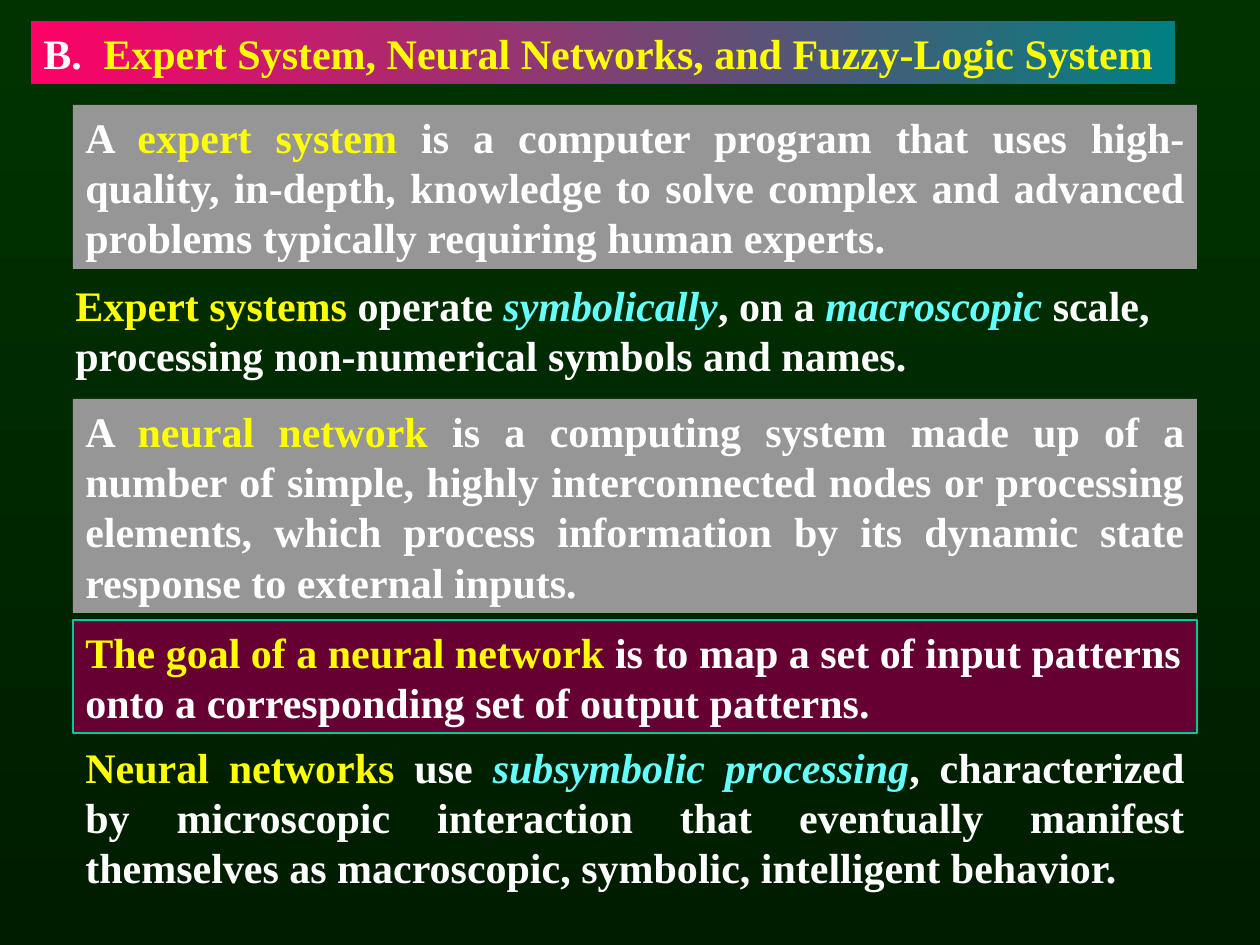
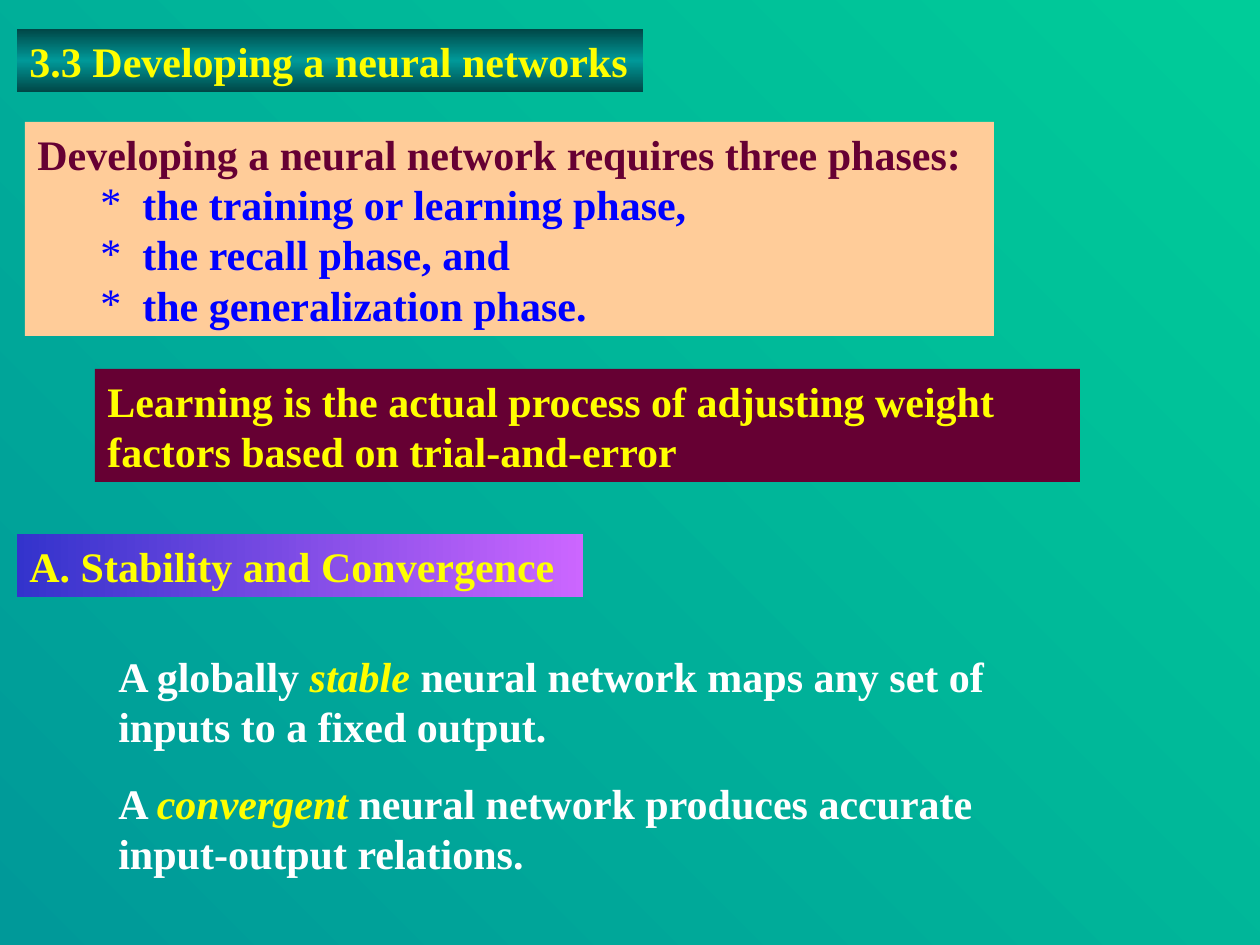
"""Build two slides on expert systems and neural networks."""
from dataclasses import dataclass
from typing import Any

import pptx
import pptx.dml.color
import pptx.enum.shapes
import pptx.enum.text
import pptx.oxml
import pptx.oxml.ns
import pptx.util

SCALE = 914400 / 126
WIDE, HIGH = 1260, 945
EM, PAD, GAP = 42, 13, 26

HUES = {
    "pine": "003300", "moss": "001D00", "teal": "009999", "mint": "00CC99",
    "rose": "FF0066", "sea": "008080", "deep": "004747", "indigo": "3333CC",
    "lilac": "CC66FF", "gray": "969696", "wine": "660033", "peach": "FFCC99",
    "white": "FFFFFF", "yellow": "FFFF00", "aqua": "66FFFF", "blue": "0000FF",
}
FONT = {"name": "Times New Roman", "size": pptx.util.Pt(24), "bold": True}
FRAME = {
    "auto_size": pptx.enum.text.MSO_AUTO_SIZE.SHAPE_TO_FIT_TEXT,
    "vertical_anchor": pptx.enum.text.MSO_ANCHOR.TOP,
}
LEFT = pptx.enum.text.PP_ALIGN.LEFT
EVEN = pptx.enum.text.PP_ALIGN.JUSTIFY


@dataclass(frozen=True)
class Blend:
    """Gradient hues, evenly spread, with a counterclockwise angle."""
    hues: tuple[str, ...]
    angle: int


@dataclass(frozen=True)
class Run:
    """Words in one hue."""
    text: str
    hue: str = "white"
    slant: bool = False


@dataclass(frozen=True)
class Para:
    """Runs of one paragraph, with an optional star bullet or tab stop."""
    runs: tuple[Run, ...]
    star: bool = False
    stop: int = 0


@dataclass(frozen=True)
class Box:
    """A block of text whose height follows its line count."""
    left: int
    top: int
    width: int
    lines: int
    paras: tuple[Para, ...]
    fill: str | Blend | None = None
    edge: str | None = None
    align: Any = LEFT
    wrap: bool = True
    gap: int = 0


def px(size: int) -> int:
    """Turn pixels into EMU."""
    return round(size * SCALE)


def tint(name: str) -> pptx.dml.color.RGBColor:
    """Look up a named colour."""
    return pptx.dml.color.RGBColor.from_string(HUES[name])


def apply(target: Any, values: dict[str, Any]) -> None:
    """Set each format value on the target."""
    for name, value in values.items():
        setattr(target, name, value)


def node(parent: Any, tag: str, **attrs: Any) -> Any:
    """Append a drawing element to its parent."""
    child = pptx.oxml.parse_xml(f"<a:{tag} {pptx.oxml.ns.nsdecls('a')}/>")
    for name, value in attrs.items():
        child.set(name, str(value))
    parent.append(child)
    return child


def paint(fill: Any, root: Any, look: str | Blend) -> None:
    """Fill with a plain hue or a blend."""
    if isinstance(look, str):
        fill.solid()
        fill.fore_color.rgb = tint(look)
        return
    fill.gradient()
    fill.gradient_angle = look.angle
    stops = next(root.iter(pptx.oxml.ns.qn("a:gsLst")))
    for old in list(stops):
        stops.remove(old)
    for rank, hue in enumerate(look.hues):
        stop = node(stops, "gs", pos=100000 * rank // (len(look.hues) - 1))
        node(stop, "srgbClr", val=HUES[hue])


def write(line: Any, para: Para) -> None:
    """Write one paragraph."""
    props = line._p.get_or_add_pPr()
    if para.star:
        props.set("marL", str(px(105)))
        props.set("indent", str(px(-42)))
        node(props, "buFont", typeface=FONT["name"])
        node(props, "buChar", char="*")
    if para.stop:
        node(node(props, "tabLst"), "tab", pos=px(para.stop), algn="l")
    for part in para.runs:
        run = line.add_run()
        run.text = part.text
        apply(run.font, FONT | {"italic": part.slant})
        run.font.color.rgb = tint(part.hue)


def draw(slide: Any, box: Box) -> None:
    """Draw a box and its text."""
    high = PAD + EM * 6 * box.lines // 5
    if box.gap:
        high += GAP * (len(box.paras) - 1)
    place = [px(size) for size in (box.left, box.top, box.width, high)]
    if box.fill:
        shape = slide.shapes.add_shape(pptx.enum.shapes.MSO_SHAPE.RECTANGLE, *place)
        shape.shadow.inherit = False
        paint(shape.fill, shape.element, box.fill)
        if box.edge:
            shape.line.color.rgb = tint(box.edge)
            shape.line.width = pptx.util.Pt(0.75)
        else:
            shape.line.fill.background()
    else:
        shape = slide.shapes.add_textbox(*place)
    frame = shape.text_frame
    apply(frame, FRAME | {"word_wrap": box.wrap})
    for rank, para in enumerate(box.paras):
        line = frame.add_paragraph() if rank else frame.paragraphs[0]
        write(line, para)
        line.alignment = box.align
        if rank and box.gap:
            line.space_before = pptx.util.Pt(box.gap)


def one(*runs: Run) -> tuple[Para, ...]:
    """Wrap runs as a single paragraph."""
    return (Para(runs),)


def gold(text: str, slant: bool = False) -> Run:
    """Make a yellow run."""
    return Run(text, "yellow", slant)


def term(text: str) -> Run:
    """Make a slanted aqua run."""
    return Run(text, "aqua", True)


SYSTEMS = (
    Box(31, 21, 1144, 1, (Para((
        Run("B.\t"),
        gold("Expert System, Neural Networks, and Fuzzy-Logic System"),
    ), stop=60),), Blend(("rose", "sea"), 0)),
    Box(73, 105, 1124, 3, one(
        Run("A "), gold("expert system"),
        Run(" is a computer program that uses high-quality, in-depth, knowledge "
            "to solve complex and advanced problems typically requiring human "
            "experts.")), "gray", align=EVEN),
    Box(63, 273, 1124, 2, one(
        gold("Expert systems "), Run("operate "), term("symbolically"),
        Run(", on a "), term("macroscopic"),
        Run(" scale, processing non-numerical symbols and names."))),
    Box(73, 399, 1124, 4, one(
        Run("A "), gold("neural network"),
        Run(" is a computing system made up of a number of simple, highly "
            "interconnected nodes or processing elements, which process "
            "information by its dynamic state response to external inputs.")),
        "gray", align=EVEN),
    Box(73, 620, 1124, 2, one(
        gold("The goal of a neural network "),
        Run("is to map a set of input patterns onto a corresponding set of "
            "output patterns.")), "wine", "mint"),
    Box(73, 735, 1124, 3, one(
        gold("Neural networks"), Run(" use "), term("subsymbolic processing"),
        Run(", characterized by microscopic interaction that eventually manifest "
            "themselves as macroscopic, symbolic, intelligent behavior.")),
        align=EVEN),
)
PHASES = ("the training or learning phase,", "the recall phase, and",
          "the generalization phase.")
GROWTH = (
    Box(17, 29, 626, 1, one(gold("3.3 Developing a neural networks")),
        Blend(("deep", "teal", "deep"), 270), wrap=False),
    Box(95, 369, 985, 2, one(
        gold("Learning is the actual process of adjusting weight factors based "
             "on trial-and-error")), "wine"),
    Box(17, 534, 566, 1, one(gold("A. Stability and Convergence")),
        Blend(("indigo", "lilac"), 0)),
    Box(106, 644, 970, 4,
        one(Run("A globally "), gold("stable ", True),
            Run("neural network maps any set of inputs to a fixed output."))
        + one(Run("A "), gold("convergent", True),
              Run(" neural network produces accurate input-output relations.")),
        gap=15),
    Box(25, 122, 969, 4,
        one(Run("Developing a neural network requires three phases:", "wine"))
        + tuple(Para((Run(phase, "blue"),), star=True) for phase in PHASES),
        "peach"),
)
DECK = (
    (Blend(("pine", "moss"), 270), SYSTEMS),
    (Blend(("teal", "mint"), 45), GROWTH),
)


def main() -> None:
    """Build and save the deck."""
    deck = pptx.Presentation()
    apply(deck, {"slide_width": px(WIDE), "slide_height": px(HIGH)})
    for ground, boxes in DECK:
        slide = deck.slides.add_slide(deck.slide_layouts[6])
        paint(slide.background.fill, slide.element, ground)
        for box in boxes:
            draw(slide, box)
    deck.save("out.pptx")


if __name__ == "__main__":
    main()
